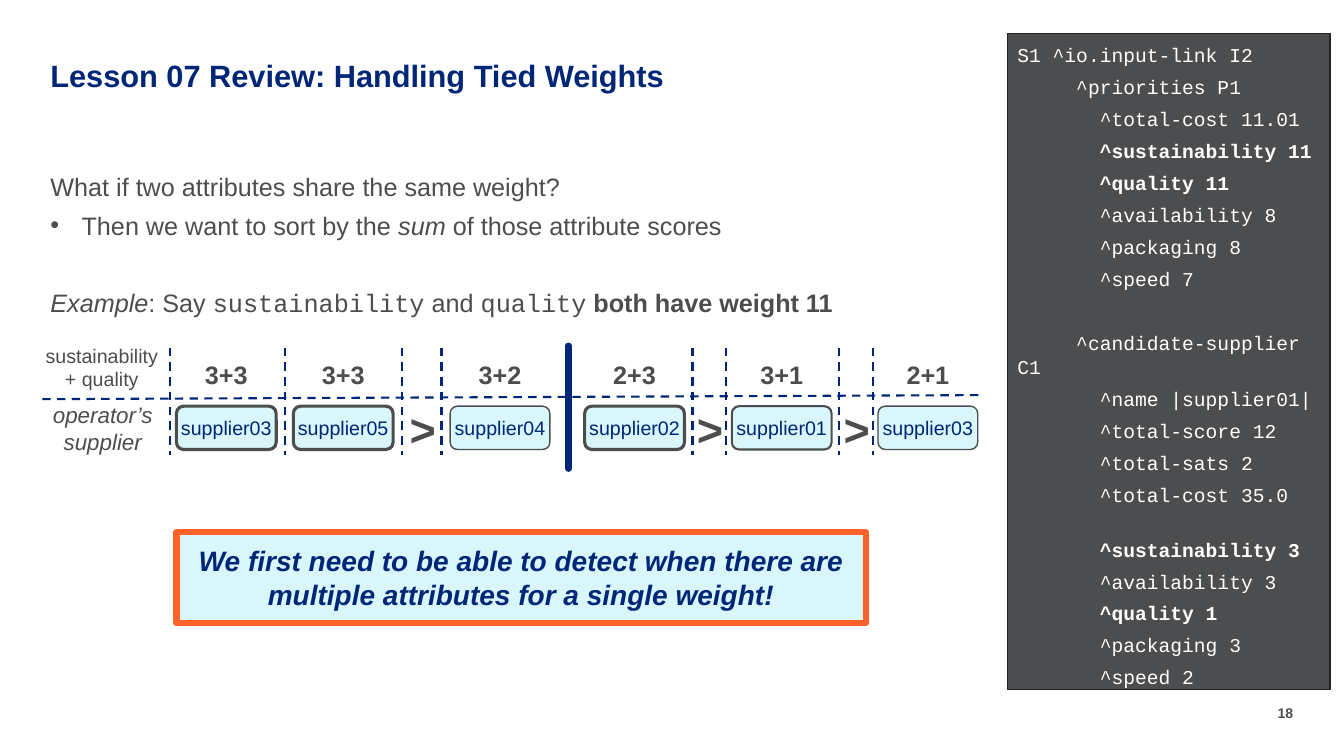
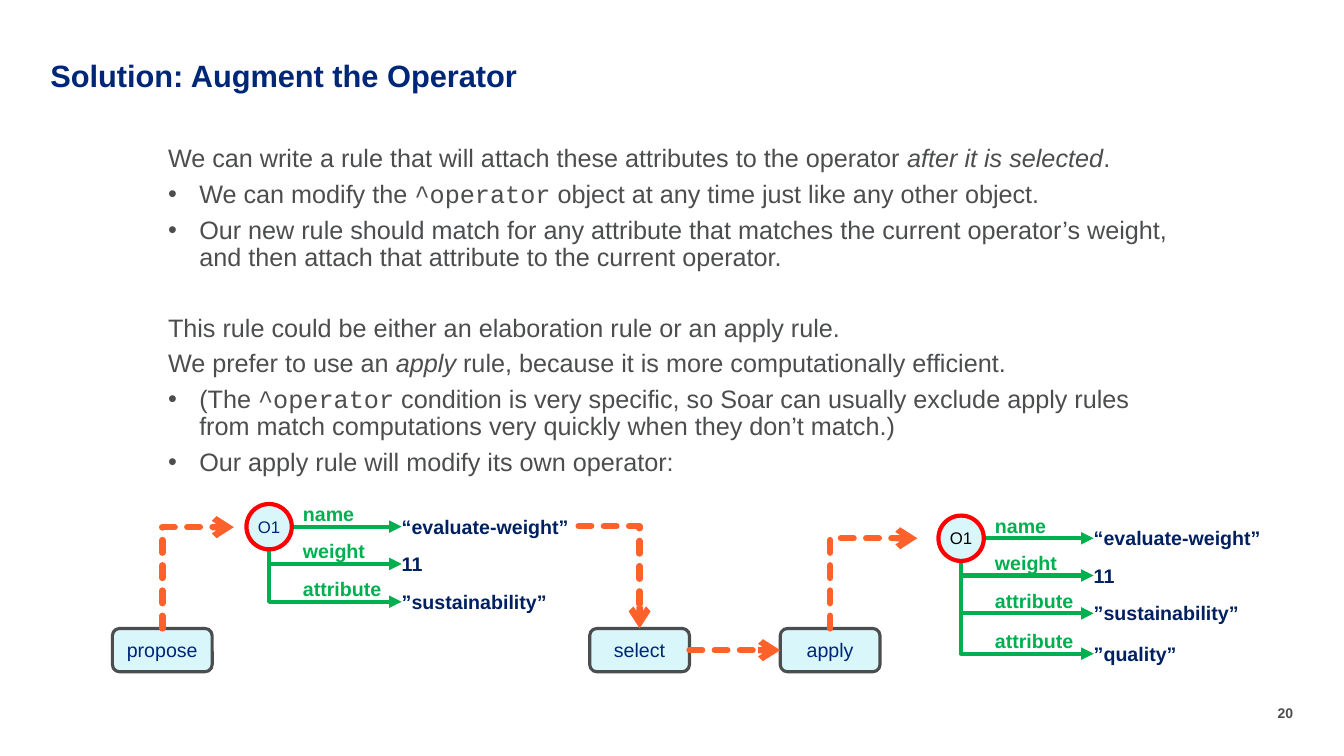
from lxml import etree
from pptx import Presentation
from pptx import util as u
from pptx.dml import color
from pptx.enum import dml, shapes, text
from pptx.oxml import ns

CELL = u.Inches(0.1)
SLIDE_COLUMNS, SLIDE_ROWS = 133.33, 75
MARGIN = 5
NAVY, INK, GRAY, ICE = "002677", "002060", "4B4D4F", "D9F6FA"
ORANGE, GREEN, RED, WHITE, BLACK = "FF612B", "00B050", "FF0000", "FFFFFF", "000000"
SANS, MONO = "Arial", "Courier New"
LEFT, CENTER, RIGHT = text.PP_ALIGN.LEFT, text.PP_ALIGN.CENTER, text.PP_ALIGN.RIGHT
TOP, MIDDLE = text.MSO_ANCHOR.TOP, text.MSO_ANCHOR.MIDDLE
BOX_WIDTH, BOX_HEIGHT = 9.9, 4.3
CIRCLE = 4.5
FLOW = {"ink": ORANGE, "weight": 4.5, "dash": dml.MSO_LINE.SQUARE_DOT,
        "arrow": "arrow", "rounded": True}
BRANCH = {"ink": GREEN, "weight": 3, "arrow": "triangle"}
DIVIDER = {"ink": NAVY, "weight": 1.5, "dash": dml.MSO_LINE.DASH}


def cells(count):
    return u.Emu(round(count * CELL))


def rgb(value):
    return color.RGBColor.from_string(value)


def place(shape, left, top, width, height):
    shape.left, shape.top = cells(left), cells(top)
    shape.width, shape.height = cells(width), cells(height)


def prepare_frame(shape, insets=(0, 0, 0, 0), anchor=TOP, wrap=True):
    frame = shape.text_frame
    frame.auto_size = text.MSO_AUTO_SIZE.NONE
    frame.word_wrap = wrap
    frame.vertical_anchor = anchor
    (frame.margin_left, frame.margin_top,
     frame.margin_right, frame.margin_bottom) = map(cells, insets)
    return frame


def set_bullet(paragraph, bullet):
    properties = paragraph._p.get_or_add_pPr()
    indent = cells(3.1) if bullet else 0
    properties.set("marL", str(indent))
    properties.set("indent", str(-indent))
    if bullet:
        etree.SubElement(properties, ns.qn("a:buFont")).set("typeface", SANS)
        etree.SubElement(properties, ns.qn("a:buChar")).set("char", "•")
    else:
        etree.SubElement(properties, ns.qn("a:buNone"))


def add_runs(paragraph, runs, size, ink, style=""):
    for run_text, run_style in runs:
        for index, line in enumerate(run_text.split("\n")):
            if index:
                paragraph.add_line_break()
            run = paragraph.add_run()
            run.text = line
            marks = style + run_style
            run.font.name = MONO if "m" in marks else SANS
            run.font.size = u.Pt(size)
            run.font.bold = "b" in marks
            run.font.italic = "i" in marks
            run.font.color.rgb = rgb(ink)


def fill_frame(frame, paragraphs, size, ink, style="", spacing=1.0):
    for index, (runs, bullet, before) in enumerate(paragraphs):
        paragraph = frame.add_paragraph() if index else frame.paragraphs[0]
        set_bullet(paragraph, bullet)
        paragraph.alignment = LEFT
        paragraph.line_spacing = spacing
        paragraph.space_before = u.Pt(before if index else 0)
        add_runs(paragraph, runs, size, ink, style)


def add_label(slide, label, left, top, width, height, size, ink,
              style="", align=CENTER):
    shape = slide.shapes.add_textbox(*map(cells, (left, top, width, height)))
    frame = prepare_frame(shape, wrap=False)
    paragraph = frame.paragraphs[0]
    paragraph.alignment = align
    add_runs(paragraph, [(label, style)], size, ink)


def add_block(slide, kind, bounds, fill, outline, weight):
    shape = slide.shapes.add_shape(kind, *map(cells, bounds))
    shape.shadow.inherit = False
    shape.fill.solid()
    shape.fill.fore_color.rgb = rgb(fill)
    shape.line.color.rgb = rgb(outline)
    shape.line.width = u.Pt(weight)
    return shape


def add_node(slide, kind, label, bounds, outline, weight, size,
             ink=NAVY, style="", insets=(0, 0.5, 0, 0.5)):
    shape = add_block(slide, kind, bounds, ICE, outline, weight)
    paragraph = prepare_frame(shape, insets, MIDDLE).paragraphs[0]
    paragraph.alignment = CENTER
    add_runs(paragraph, [(label, style)], size, ink)
    return shape


def add_box(slide, label, left, top, weight=2.25):
    return add_node(slide, shapes.MSO_SHAPE.ROUNDED_RECTANGLE, label,
                    (left, top, BOX_WIDTH, BOX_HEIGHT), GRAY, weight, 14)


def add_line(slide, start, end, ink, weight, dash=None, arrow=None,
             rounded=False, kind=shapes.MSO_CONNECTOR.STRAIGHT):
    line = slide.shapes.add_connector(kind, *map(cells, (*start, *end)))
    line.line.color.rgb = rgb(ink)
    line.line.width = u.Pt(weight)
    if dash:
        line.line.dash_style = dash
    outline = line.line._get_or_add_ln()
    if rounded:
        outline.set("cap", "rnd")
    etree.SubElement(outline, ns.qn("a:round"))
    if arrow:
        etree.SubElement(outline, ns.qn("a:tailEnd")).set("type", arrow)
    etree.SubElement(line._element.spPr, ns.qn("a:effectLst"))
    return line


def add_corner(slide, start, end, vertical_first, **style):
    line = add_line(slide, start, end, kind=shapes.MSO_CONNECTOR.ELBOW, **style)
    properties = line._element.spPr
    properties.find(ns.qn("a:prstGeom")).set("prst", "bentConnector2")
    if vertical_first:
        (x1, y1), (x2, y2) = start, end
        width, height = abs(y2 - y1), abs(x2 - x1)
        place(line, (x1 + x2 - width) / 2, (y1 + y2 - height) / 2, width, height)
        rising = y2 < y1
        transform = properties.find(ns.qn("a:xfrm"))
        transform.set("rot", str((90 if rising else 270) * 60000))
        transform.set("flipH", "1")
        transform.set("flipV", "1" if rising else "0")


def add_lesson_slide(presentation, title, number, bounds, paragraphs, spacing=1.0):
    slide = presentation.slides.add_slide(presentation.slide_layouts[1])
    heading, body = slide.placeholders
    place(heading, MARGIN, 6, 105, 3.3)
    fill_frame(prepare_frame(heading), [([(title, "")], False, 0)],
               22, NAVY, "b", 0.9)
    place(body, *bounds)
    fill_frame(prepare_frame(body), paragraphs, 18, GRAY, spacing=spacing)
    add_label(slide, number, 123.3, 69.9, 5, 1.7, 10, GRAY, "b", RIGHT)
    return slide


def add_code_panel(slide):
    lines = [
        ("S1 ^io.input-link I2", "", 6),
        ("     ^priorities P1", "", 6),
        ("       ^total-cost 11.01", "", 6),
        ("       ^sustainability 11", "b", 6),
        ("       ^quality 11", "b", 6),
        ("       ^availability 8", "", 6),
        ("       ^packaging 8", "", 6),
        ("       ^speed 7", "", 6),
        ("     ^candidate-supplier C1", "", 29),
        ("       ^name |supplier01|", "", 6),
        ("       ^total-score 12", "", 6),
        ("       ^total-sats 2", "", 6),
        ("       ^total-cost 35.0", "", 6),
        ("       ^sustainability 3", "b", 22.5),
        ("       ^availability 3", "", 6),
        ("       ^quality 1", "b", 6),
        ("       ^packaging 3", "", 6),
        ("       ^speed 2", "", 6),
    ]
    panel = add_block(slide, shapes.MSO_SHAPE.RECTANGLE,
                      (99.95, 3.3, 32, 65.1), GRAY, "212223", 1)
    paragraphs = [([(line, style)], False, before) for line, style, before in lines]
    fill_frame(prepare_frame(panel, (1, 1, 0, 1)), paragraphs, 14, WHITE, "m")


def add_ranking(slide):
    suppliers = [
        ("supplier03", "3+3", 17.5, 2.25),
        ("supplier05", "3+3", 29.1, 2.25),
        ("supplier04", "3+2", 44.65, 1),
        ("supplier02", "2+3", 58, 2.25),
        ("supplier01", "3+1", 72.6, 1.5),
        ("supplier03", "2+1", 87.1, 1),
    ]
    comparisons = [(39.9, 43.8), (68.7, 72), (83.2, 86.6)]
    add_label(slide, "sustainability\n+ quality", 4.5, 34.1, 11.2, 4.7, 14, GRAY)
    add_label(slide, "operator’s\nsupplier", 5.2, 39.8, 10, 5.4, 16, GRAY, "i")
    for name, score, left, weight in suppliers:
        add_box(slide, name, left, 40.3, weight)
        add_label(slide, score, left, 35.65, BOX_WIDTH, 3, 18, GRAY, "b")
    for left, right in comparisons:
        add_label(slide, ">", left + 0.1, 39.9, right - left, 5.4, 32, GRAY, "bm")
    for column in (16.9, 28.25, *sum(comparisons, ())):
        add_line(slide, (column, 34.5), (column, 45.1), **DIVIDER)
    add_line(slide, (4.2, 39.6), (97.3, 39.2), **DIVIDER)
    add_line(slide, (56.4, 34.3), (56.4, 46.5), NAVY, 4.5, rounded=True)


def add_operator(slide, left, top, ink, attributes):
    row_offsets = (0, 3.7, 7.45, 11.45)
    center, middle = left + CIRCLE / 2, top + CIRCLE / 2
    value_left = left + 15.4
    for offset, (name, value) in zip(row_offsets, attributes):
        row = middle + offset
        if offset:
            add_corner(slide, (center, top + CIRCLE), (value_left, row), True, **BRANCH)
        else:
            add_line(slide, (left + CIRCLE, row), (value_left, row), **BRANCH)
        add_label(slide, name, left + 5.6, row - 2.45, 9, 2.4, 14, GREEN, "b", LEFT)
        add_label(slide, value, value_left, row - 1.2, 17.5, 2.4, 14, INK, "b", LEFT)
    add_node(slide, shapes.MSO_SHAPE.OVAL, "O1", (left, top, CIRCLE, CIRCLE),
             RED, 3, 12, ink)


def build_review(presentation):
    paragraphs = [
        ([("What if two attributes share the same weight?", "")], False, 6),
        ([("Then we want to sort by the ", ""), ("sum", "i"),
          (" of those attribute scores", "")], True, 6),
        ([("Example", "i"), (": Say ", ""), ("sustainability", "m"), (" and ", ""),
          ("quality", "m"), (" both have weight 11", "b")], False, 33.5),
    ]
    slide = add_lesson_slide(presentation, "Lesson 07 Review: Handling Tied Weights",
                             "18", (MARGIN, 17, 93.9, 43), paragraphs)
    add_code_panel(slide)
    add_ranking(slide)
    add_node(slide, shapes.MSO_SHAPE.RECTANGLE,
             "We first need to be able to detect when there are "
             "multiple attributes for a single weight!",
             (17.5, 52.8, 68.4, 9), ORANGE, 4.5, 20, style="bi",
             insets=(1, 0.5, 1, 0.5))


def build_solution(presentation):
    paragraphs = [
        ([("We can write a rule that will attach these attributes to the operator ", ""),
          ("after it is selected", "i"), (".", "")], False, 6),
        ([("We can modify the ", ""), ("^operator", "m"),
          (" object at any time just like any other object.", "")], True, 6),
        ([("Our new rule should match for any attribute that matches the current "
           "operator’s weight, and then attach that attribute to the current "
           "operator.", "")], True, 6),
        ([("This rule could be either an elaboration rule or an apply rule.", "")],
         False, 31),
        ([("We prefer to use an ", ""), ("apply", "i"),
          (" rule, because it is more computationally efficient.", "")], False, 6),
        ([("(The ", ""), ("^operator", "m"),
          (" condition is very specific, so Soar can usually exclude apply rules from "
           "match computations very quickly when they don’t match.)", "")], True, 6),
        ([("Our apply rule will modify its own operator:", "")], True, 6),
    ]
    slide = add_lesson_slide(presentation, "Solution: Augment the Operator", "20",
                             (16.67, 14.5, 100, 34.3), paragraphs, 0.9)
    attributes = [("name", "“evaluate-weight”"), ("weight", "11"),
                  ("attribute", "”sustainability”")]
    add_operator(slide, 24.45, 50, NAVY, attributes)
    add_operator(slide, 93.1, 51.15, BLACK, attributes + [("attribute", "”quality”")])

    box_top = 62.35
    lefts = {"propose": 11.15, "select": 58.5, "apply": 77.4}
    boxes = {name: add_box(slide, name, left, box_top) for name, left in lefts.items()}
    centers = {name: left + BOX_WIDTH / 2 for name, left in lefts.items()}
    middle = box_top + BOX_HEIGHT / 2
    add_corner(slide, (centers["propose"], box_top), (23.2, 52.3), True, **FLOW)
    add_corner(slide, (57.4, 52.2), (centers["select"], box_top), False, **FLOW)
    add_corner(slide, (centers["apply"], box_top), (91, 53.4), True, **FLOW)
    hand_over = add_line(slide, (lefts["select"] + BOX_WIDTH, middle),
                         (lefts["apply"], middle), **FLOW)
    hand_over.begin_connect(boxes["select"], 3)
    hand_over.end_connect(boxes["apply"], 1)


def main():
    presentation = Presentation()
    presentation.slide_width = cells(SLIDE_COLUMNS)
    presentation.slide_height = cells(SLIDE_ROWS)
    build_review(presentation)
    build_solution(presentation)
    presentation.save("out.pptx")


if __name__ == "__main__":
    main()
